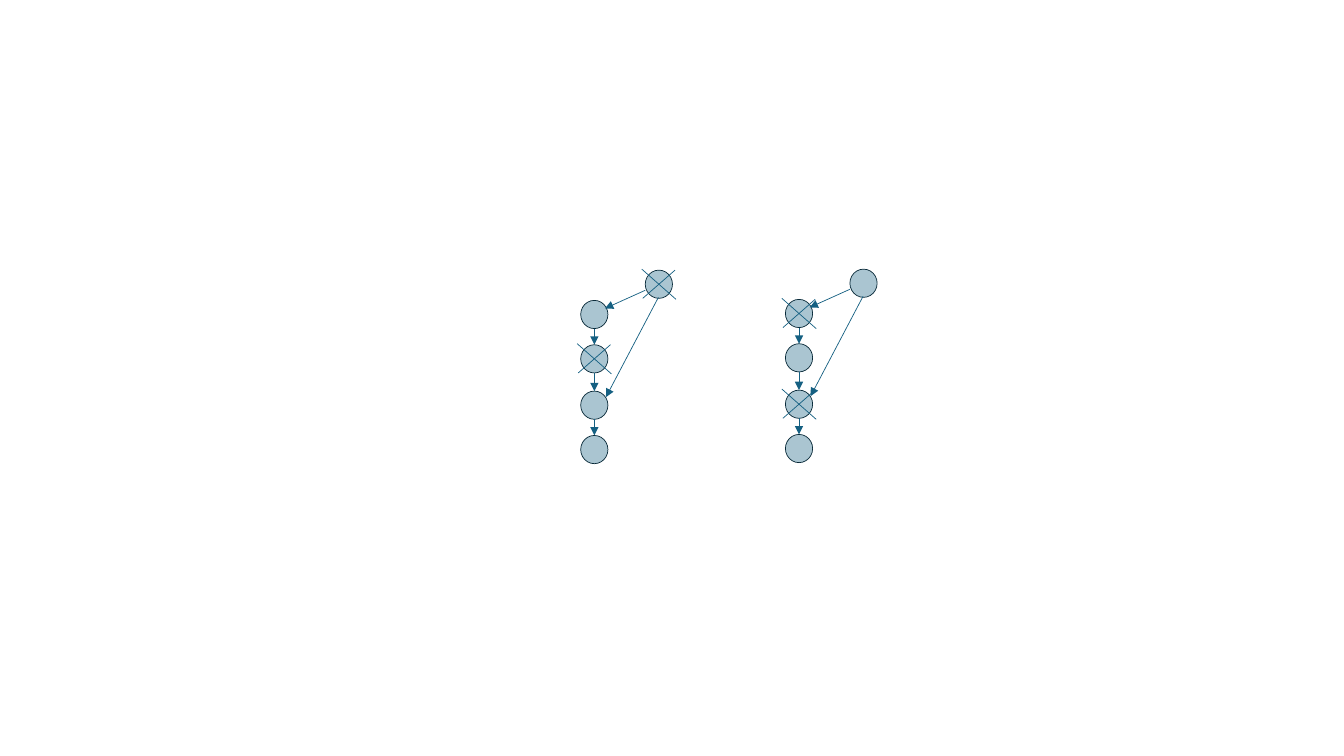
from itertools import pairwise

from lxml import etree
from pptx import Presentation
from pptx.dml.color import RGBColor
from pptx.enum.shapes import MSO_CONNECTOR, MSO_SHAPE
from pptx.oxml.ns import qn
from pptx.util import Inches, Pt

OVAL = MSO_SHAPE.OVAL
STRAIGHT = MSO_CONNECTOR.STRAIGHT
TEAL = RGBColor(0x15, 0x60, 0x82)
DARK_TEAL = RGBColor(0x09, 0x2A, 0x39)

# Each graph: left, top, and the crossed-out nodes
GRAPHS = [
    (5.76, 2.68, ("head", "second")),
    (7.79, 2.67, ("first", "third")),
]
# Node offsets from the left and top of its graph
NODES = {
    "first": (0, 0.3),
    "second": (0, 0.74),
    "third": (0, 1.2),
    "fourth": (0, 1.64),
    "head": (0.64, 0),
}
CHAIN = ("first", "second", "third", "fourth")
# Slanted arrows from the head: start and end offsets
HEAD_ARROWS = [((0.64, 0.2), (0.24, 0.38)), ((0.77, 0.27), (0.25, 1.26))]
NODE_WIDTH, NODE_HEIGHT = 0.27, 0.28
NODE_ALPHA = "36000"
LINE_WIDTH = Pt(0.5)


def add_node(group, left, top):
    node = group.shapes.add_shape(
        OVAL, Inches(left), Inches(top), Inches(NODE_WIDTH), Inches(NODE_HEIGHT))
    node.shadow.inherit = False
    node.fill.solid()
    node.fill.fore_color.rgb = TEAL
    color = node._element.spPr.find(qn("a:solidFill"))[0]
    etree.SubElement(color, qn("a:alpha"), val=NODE_ALPHA)
    node.line.color.rgb = DARK_TEAL
    node.line.width = LINE_WIDTH


def add_line(group, start, end, arrow=False):
    line = group.shapes.add_connector(
        STRAIGHT, *(Inches(length) for length in (*start, *end)))
    line.line.color.rgb = TEAL
    line.line.width = LINE_WIDTH
    properties = line._element.spPr
    if arrow:
        etree.SubElement(properties.find(qn("a:ln")), qn("a:tailEnd"), type="triangle")
    etree.SubElement(properties, qn("a:effectLst"))


def add_cross(group, x, y):
    """Cross out the node centred at x, y."""
    add_line(group, (x - 0.16, y + 0.14), (x + 0.16, y - 0.14))
    add_line(group, (x - 0.17, y - 0.15), (x + 0.17, y + 0.15))


def add_graph(slide, left, top, crossed):
    group = slide.shapes.add_group_shape()
    places = {name: (left + dx, top + dy) for name, (dx, dy) in NODES.items()}
    for place in places.values():
        add_node(group, *place)

    middle = left + NODE_WIDTH / 2
    for upper, lower in pairwise(CHAIN):
        add_line(group, (middle, places[upper][1] + NODE_HEIGHT),
                 (middle, places[lower][1]), arrow=True)

    for start, end in HEAD_ARROWS:
        add_line(group, (left + start[0], top + start[1]),
                 (left + end[0], top + end[1]), arrow=True)

    for name in crossed:
        x, y = places[name]
        add_cross(group, x + NODE_WIDTH / 2, y + NODE_HEIGHT / 2)


def main():
    presentation = Presentation()
    presentation.slide_width = Inches(13.33)
    presentation.slide_height = Inches(7.5)
    slide = presentation.slides.add_slide(presentation.slide_layouts[6])
    for left, top, crossed in GRAPHS:
        add_graph(slide, left, top, crossed)
    presentation.save("out.pptx")


if __name__ == "__main__":
    main()
